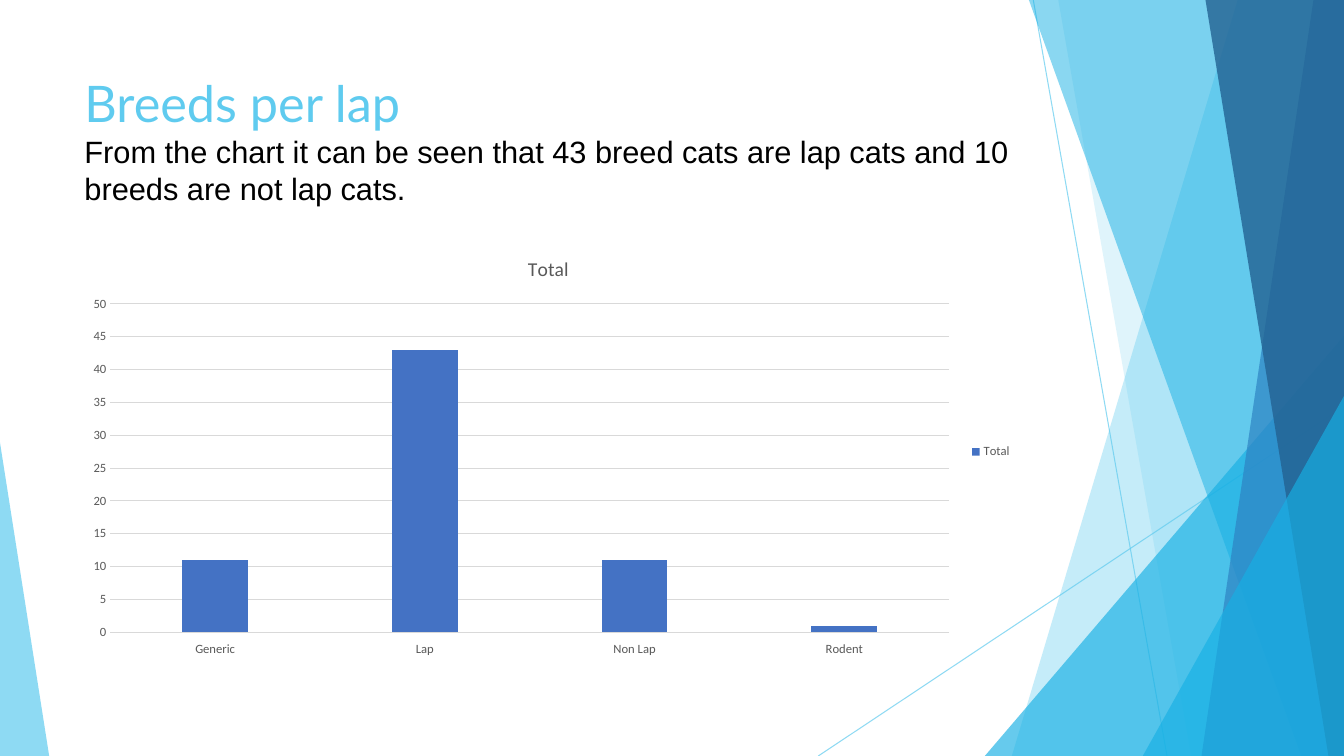
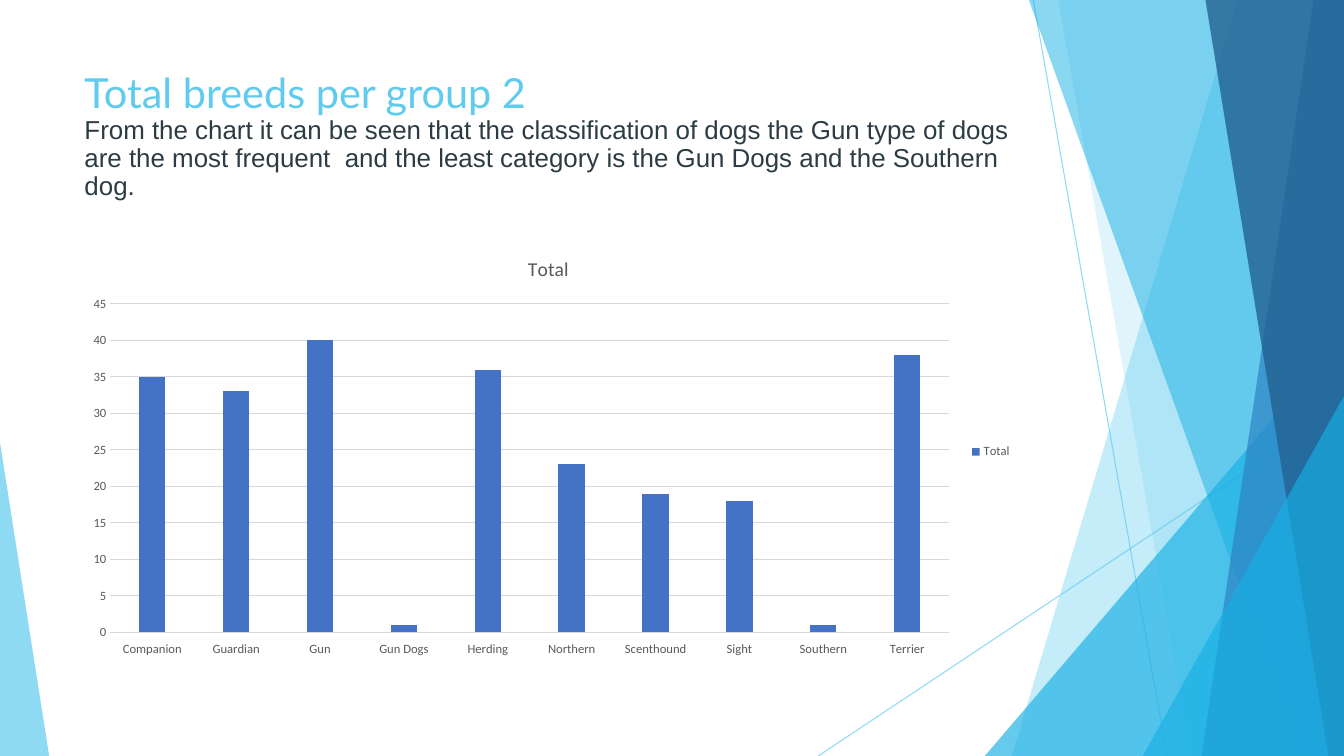
from dataclasses import dataclass

from lxml.etree import SubElement
from pptx import Presentation
from pptx.chart.axis import CategoryAxis, ValueAxis
from pptx.chart.chart import Chart
from pptx.chart.data import CategoryChartData
from pptx.dml.color import RGBColor
from pptx.dml.line import LineFormat
from pptx.enum.chart import (
    XL_CHART_TYPE,
    XL_LEGEND_POSITION,
    XL_TICK_LABEL_POSITION,
    XL_TICK_MARK,
)
from pptx.enum.shapes import MSO_CONNECTOR
from pptx.enum.text import MSO_ANCHOR
from pptx.oxml.ns import qn
from pptx.shapes.base import BaseShape
from pptx.slide import Slide
from pptx.text.text import Font
from pptx.util import Cm, Pt

WIDE, HIGH = 33.87, 19.05
LEFT, SPAN = 1.88, 23.88
THIN = 0.75
COLORS = {
    "sky": "5FCBEF",
    "blue": "17B0E4",
    "mid": "2E83C3",
    "deep": "236292",
    "bar": "4472C4",
    "grid": "D9D9D9",
    "gray": "595959",
    "black": "000000",
    "slate": "2C3C43",
}

Point = tuple[float, float]


@dataclass(frozen=True)
class Ray:
    start: Point
    end: Point


@dataclass(frozen=True)
class Facet:
    points: list[Point]
    color: str
    alpha: int


@dataclass(frozen=True)
class Page:
    title: str
    title_size: float
    body: str
    body_size: float
    body_color: str
    spacing: float
    values: dict[str, int]
    top: int


def band(top: float, base: float, color: str, alpha: int) -> Facet:
    return Facet([(top, 0), (WIDE, 0), (WIDE, HIGH), (base, HIGH)], color, alpha)


def corner(base: float, top: float) -> Facet:
    return Facet([(base, HIGH), (WIDE, top), (WIDE, HIGH)], "blue", 66)


RAYS = [
    Ray((26.04, 0), (29.41, HIGH)),
    Ray((WIDE, 10.24), (20.62, HIGH)),
]
FACETS = [
    band(31.19, 25.5, "sky", 36),
    band(26.67, 30.02, "sky", 20),
    corner(24.82, 8.46),
    band(25.93, 32.79, "blue", 50),
    band(33.1, 30.28, "mid", 70),
    band(30.38, 33.48, "deep", 80),
    corner(28.8, 9.98),
    Facet([(0, HIGH), (0, 11.15), (1.24, HIGH)], "sky", 70),
]
PAGES = [
    Page(
        "Breeds per lap",
        36,
        "From the chart it can be seen that 43 breed cats are lap cats "
        "and 10 breeds are not lap cats.",
        22,
        "black",
        1.0,
        {"Generic": 11, "Lap": 43, "Non Lap": 11, "Rodent": 1},
        50,
    ),
    Page(
        "Total breeds per group 2",
        29.6,
        "From the chart it can be seen that the classification of dogs the Gun "
        "type of dogs are the most frequent  and the least category is the "
        "Gun Dogs and the Southern dog.",
        18.5,
        "slate",
        0.9,
        {
            "Companion": 35,
            "Guardian": 33,
            "Gun": 40,
            "Gun Dogs": 1,
            "Herding": 36,
            "Northern": 23,
            "Scenthound": 19,
            "Sight": 18,
            "Southern": 1,
            "Terrier": 38,
        },
        45,
    ),
]


def rgb(name: str) -> RGBColor:
    return RGBColor.from_string(COLORS[name])


def fade(shape: BaseShape, alpha: int) -> None:
    for node in shape.element.iter(qn("a:srgbClr")):
        SubElement(node, qn("a:alpha"), val=str(alpha * 1000))


def style(font: Font, face: str, size: float, color: str) -> None:
    font.name = face
    font.size = Pt(size)
    font.bold = False
    font.color.rgb = rgb(color)


def stroke(line: LineFormat, color: str) -> None:
    line.color.rgb = rgb(color)
    line.width = Pt(THIN)


def draw_ray(slide: Slide, ray: Ray) -> None:
    ends = [Cm(value) for value in ray.start + ray.end]
    line = slide.shapes.add_connector(MSO_CONNECTOR.STRAIGHT, *ends)
    stroke(line.line, "sky")
    fade(line, 70)
    SubElement(line.element.spPr, qn("a:effectLst"))


def draw_facet(slide: Slide, facet: Facet) -> None:
    first, *rest = [(Cm(x), Cm(y)) for x, y in facet.points]
    pen = slide.shapes.build_freeform(*first)
    pen.add_line_segments(rest)
    shape = pen.convert_to_shape()
    shape.shadow.inherit = False
    shape.fill.solid()
    shape.fill.fore_color.rgb = rgb(facet.color)
    shape.line.fill.background()
    fade(shape, facet.alpha)


def draw_title(slide: Slide, page: Page) -> None:
    box = slide.shapes.add_textbox(Cm(LEFT), Cm(1.7), Cm(SPAN), Cm(3.66))
    frame = box.text_frame
    frame.word_wrap = True
    frame.vertical_anchor = MSO_ANCHOR.TOP
    para = frame.paragraphs[0]
    para.text = f"{page.title}\v{page.body}"
    para.line_spacing = page.spacing
    head, body = para.runs
    style(head.font, "Lato", page.title_size, "sky")
    style(body.font, "Arial", page.body_size, page.body_color)


def style_axis(axis: CategoryAxis | ValueAxis) -> None:
    axis.major_tick_mark = XL_TICK_MARK.NONE
    axis.minor_tick_mark = XL_TICK_MARK.NONE
    style(axis.tick_labels.font, "Calibri", 9, "gray")


def style_chart(chart: Chart, top: int) -> None:
    style(chart.font, "Arial", 10, "black")
    chart.has_title = True
    title = chart.chart_title.text_frame
    title.text = "Total"
    style(title.paragraphs[0].runs[0].font, "Calibri", 14, "gray")

    chart.has_legend = True
    chart.legend.position = XL_LEGEND_POSITION.RIGHT
    chart.legend.include_in_layout = False
    style(chart.legend.font, "Calibri", 9, "gray")

    groups, scale = chart.category_axis, chart.value_axis
    style_axis(groups)
    groups.tick_label_position = XL_TICK_LABEL_POSITION.LOW
    stroke(groups.format.line, "grid")
    style_axis(scale)
    scale.minimum_scale = 0
    scale.maximum_scale = top
    scale.major_unit = 5
    scale.format.line.fill.background()
    scale.has_major_gridlines = True
    stroke(scale.major_gridlines.format.line, "grid")

    plot = chart.plots[0]
    plot.vary_by_categories = False
    plot.gap_width = 219
    plot.overlap = -27
    fill = plot.series[0].format.fill
    fill.solid()
    fill.fore_color.rgb = rgb("bar")


def draw_chart(slide: Slide, page: Page) -> None:
    data = CategoryChartData()
    data.categories = list(page.values)
    data.add_series("Total", list(page.values.values()))
    frame = slide.shapes.add_chart(
        XL_CHART_TYPE.COLUMN_CLUSTERED, Cm(LEFT), Cm(6), Cm(SPAN), Cm(10.77), data
    )
    style_chart(frame.chart, page.top)


def main() -> None:
    deck = Presentation()
    deck.slide_width, deck.slide_height = Cm(WIDE), Cm(HIGH)
    for page in PAGES:
        slide = deck.slides.add_slide(deck.slide_layouts[6])
        for ray in RAYS:
            draw_ray(slide, ray)
        for facet in FACETS:
            draw_facet(slide, facet)
        draw_title(slide, page)
        draw_chart(slide, page)
    deck.save("out.pptx")


main()
